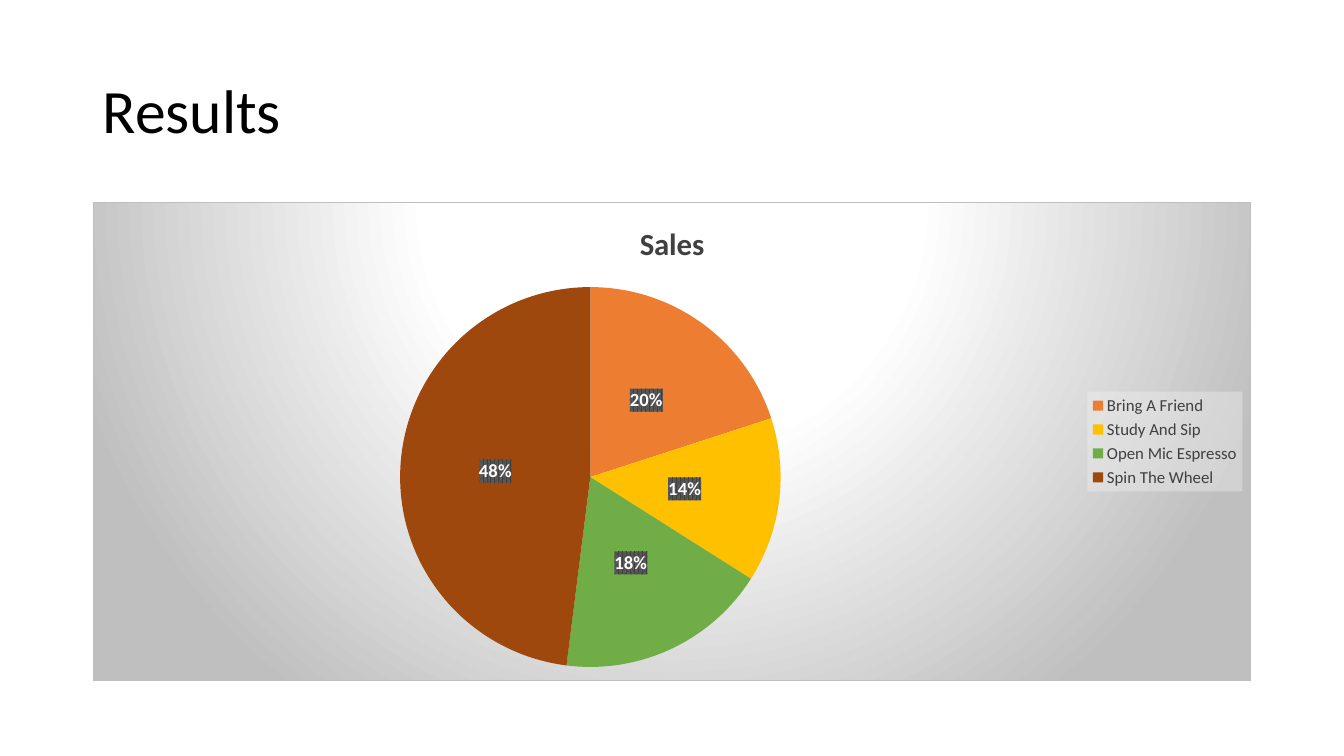
from lxml.etree import fromstring
from pptx import Presentation
from pptx.chart.data import CategoryChartData as ChartData
from pptx.dml.color import RGBColor as Color
from pptx.enum.chart import XL_CHART_TYPE as ChartType
from pptx.enum.chart import XL_LABEL_POSITION as LabelPosition
from pptx.enum.chart import XL_LEGEND_POSITION as LegendPosition
from pptx.enum.text import MSO_ANCHOR as Anchor
from pptx.util import Inches, Pt

THEME = {
    "font": "Calibri",
    "title": {"size": 44, "color": "000000", "bold": False},
    "chart": {"size": 10, "color": "000000", "bold": False},
    "heading": {"size": 22, "color": "404040", "bold": True},
    "legend": {"size": 12, "color": "404040", "bold": False},
    "label": {"size": 13.3, "color": "FFFFFF", "bold": True},
    "light": "FFFFFF",
    "edge": "BFBFBF",
    "legend_fill": "F2F2F2",
    "label_front": "404040",
    "label_back": "595959",
}
SALES = [
    ("Bring A Friend", 20, "ED7D31"),
    ("Study And Sip", 14, "FFC000"),
    ("Open Mic Espresso", 18, "70AD47"),
    ("Spin The Wheel", 48, "9E480E"),
]


def style_font(font, role):
    values = THEME[role]
    formats = {"name": THEME["font"], "size": Pt(values["size"]), "bold": values["bold"]}
    for name, value in formats.items():
        setattr(font, name, value)
    font.color.rgb = Color.from_string(values["color"])


def shape_format(content):
    return fromstring(
        '<c:spPr xmlns:c="http://schemas.openxmlformats.org/drawingml/2006/chart" '
        'xmlns:a="http://schemas.openxmlformats.org/drawingml/2006/main">'
        f"{content}</c:spPr>"
    )


presentation = Presentation()
presentation.slide_width = Inches(13.33)
presentation.slide_height = Inches(7.5)
slide = presentation.slides.add_slide(presentation.slide_layouts[6])
left = Inches(0.92)
content_width = presentation.slide_width - 2 * left

title_box = slide.shapes.add_textbox(left, Inches(0.4), content_width, Inches(1.45))
title_frame = title_box.text_frame
title_frame.word_wrap = True
title_frame.vertical_anchor = Anchor.MIDDLE
paragraph = title_frame.paragraphs[0]
paragraph.line_spacing = 0.9
run = paragraph.add_run()
run.text = "Results"
style_font(run.font, "title")

chart_data = ChartData(number_format="0")
chart_data.categories = [name for name, value, color in SALES]
chart_data.add_series("Sales", [value for name, value, color in SALES])
chart = slide.shapes.add_chart(
    ChartType.PIE, left, Inches(2), content_width, Inches(4.76), chart_data
).chart
style_font(chart.font, "chart")

chart.has_title = True
heading = chart.chart_title.text_frame.paragraphs[0].add_run()
heading.text = "Sales"
style_font(heading.font, "heading")
chart.chart_title.include_in_layout = False

chart.has_legend = True
legend = chart.legend
legend.position = LegendPosition.RIGHT
legend.include_in_layout = False
style_font(legend.font, "legend")

plot = chart.plots[0]
plot.vary_by_categories = True
series = plot.series[0]
for index, (name, value, color) in enumerate(SALES):
    fill = series.points[index].format.fill
    fill.solid()
    fill.fore_color.rgb = Color.from_string(color)

labels = series.data_labels
label_formats = {
    "show_percentage": True,
    "show_value": False,
    "show_legend_key": False,
    "number_format": "0%",
    "number_format_is_linked": False,
    "position": LabelPosition.CENTER,
}
for name, value in label_formats.items():
    setattr(labels, name, value)
style_font(labels.font, "label")

stops = [(0, THEME["light"]), (39, THEME["light"]), (100, THEME["edge"])]
gradient = "".join(
    f'<a:gs pos="{share * 1000}"><a:srgbClr val="{color}"/></a:gs>' for share, color in stops
)
chart_format = shape_format(
    f'<a:gradFill><a:gsLst>{gradient}</a:gsLst><a:path path="circle">'
    '<a:fillToRect l="50000" t="-80000" r="50000" b="180000"/></a:path></a:gradFill>'
    f'<a:ln w="{Pt(0.75)}"><a:solidFill><a:srgbClr val="{THEME["edge"]}"/></a:solidFill></a:ln>'
)
legend_format = shape_format(
    f'<a:solidFill><a:srgbClr val="{THEME["legend_fill"]}"><a:alpha val="39000"/>'
    "</a:srgbClr></a:solidFill><a:ln><a:noFill/></a:ln>"
)
label_format = shape_format(
    f'<a:pattFill prst="pct75"><a:fgClr><a:srgbClr val="{THEME["label_front"]}"/></a:fgClr>'
    f'<a:bgClr><a:srgbClr val="{THEME["label_back"]}"/></a:bgClr></a:pattFill>'
    "<a:ln><a:noFill/></a:ln>"
)
formatted_parts = [
    (chart.font, chart_format, "/c:chartSpace/c:txPr"),
    (legend.font, legend_format, "//c:legend/c:txPr"),
    (labels.font, label_format, "//c:ser/c:dLbls/c:txPr"),
]
for font, part_format, query in formatted_parts:
    chart.element.xpath(query)[0].addprevious(part_format)

presentation.save("out.pptx")
